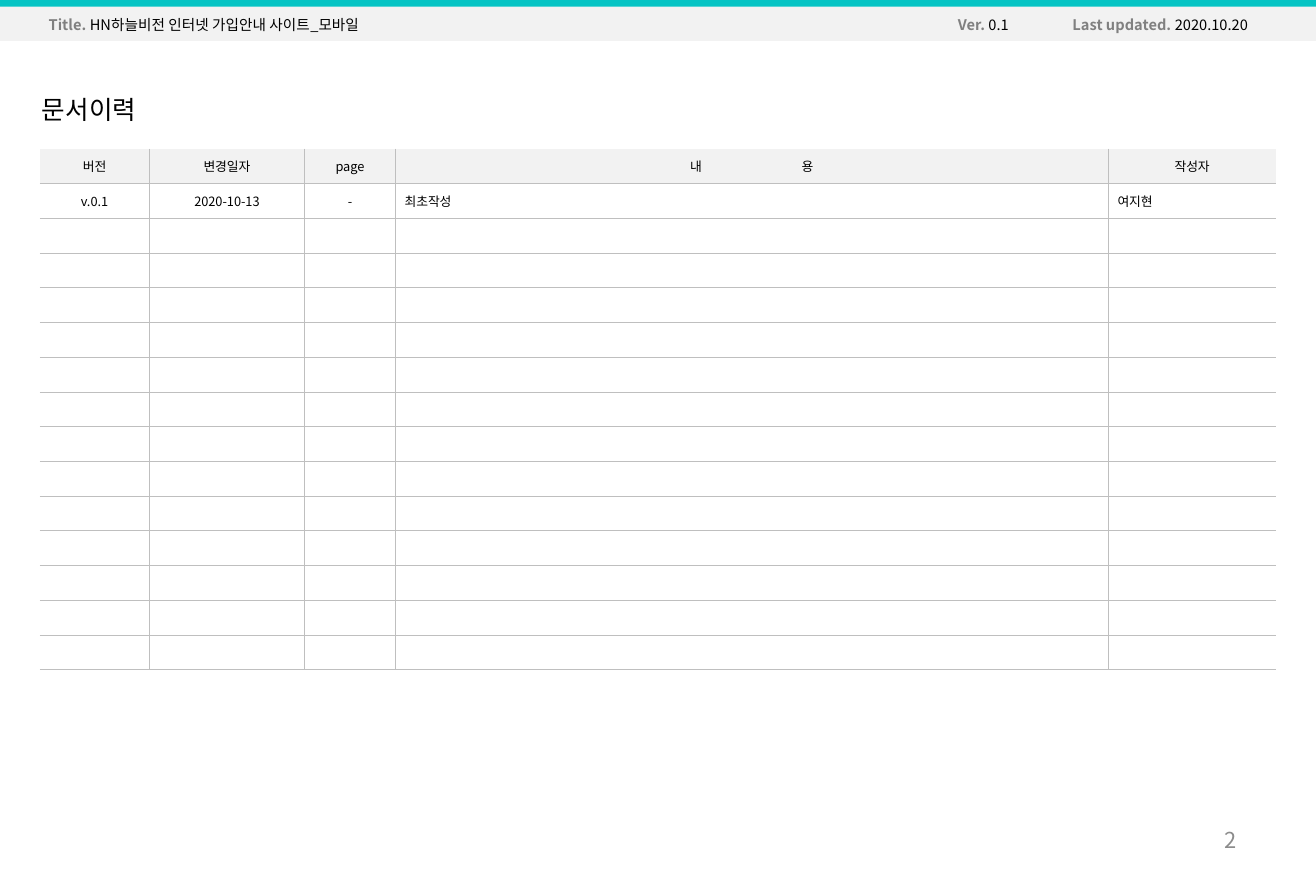
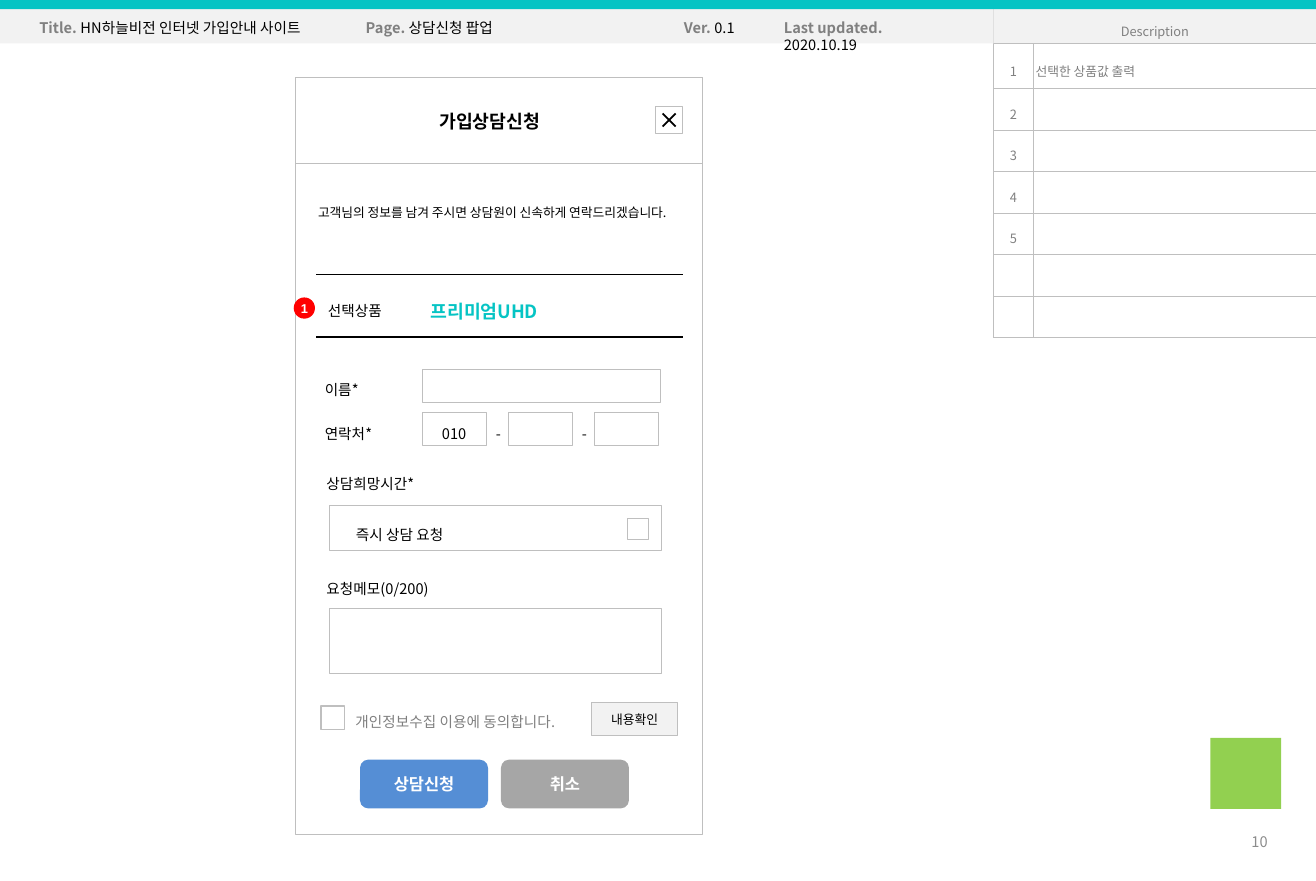
"""Build the revision history and the consultation popup storyboard slides."""
from lxml.etree import SubElement
from pptx import Presentation
from pptx.dml.color import RGBColor
from pptx.enum.shapes import MSO_CONNECTOR as Connector, MSO_SHAPE as Shape
from pptx.enum.text import MSO_ANCHOR as Anchor, PP_ALIGN as Align
from pptx.oxml.ns import qn
from pptx.util import Cm, Pt

color = RGBColor.from_string
FONT = "Noto Sans CJK KR"
TEAL, PALE, BORDER = "05C4C4", "F2F2F2", "BFBFBF"
LABEL, NUMBER, BLACK, WHITE = "808080", "8C8C8C", "000000", "FFFFFF"
PAGE_WIDTH, PAGE_HEIGHT = 25.4, 17


def write(frame, spans, size, align=Align.LEFT, spacing=1, font=FONT):
    frame.word_wrap = True
    para = frame.paragraphs[0]
    para.alignment = align
    para.line_spacing = spacing
    for text, ink, bold in spans:
        span = para.add_run()
        span.text = text
        span.font.size = Pt(size)
        span.font.bold = bold
        span.font.name = font
        span.font.color.rgb = color(ink)
        SubElement(span.font._element, qn("a:ea"), typeface=font)
    para._p.get_or_add_endParaRPr().set("sz", str(size * 100))


def draw(slide, place, fill, line=None, weight=0.5, kind=Shape.RECTANGLE):
    box = slide.shapes.add_shape(kind, *map(Cm, place))
    box.shadow.inherit = False
    box.fill.solid()
    box.fill.fore_color.rgb = color(fill)
    if line:
        box.line.color.rgb = color(line)
        box.line.width = Pt(weight)
    else:
        box.line.fill.background()
    frame = box.text_frame
    frame.margin_left = frame.margin_right = frame.margin_top = frame.margin_bottom = 0
    frame.vertical_anchor = Anchor.MIDDLE
    return box


deck = Presentation()
deck.slide_width, deck.slide_height = Cm(PAGE_WIDTH), Cm(PAGE_HEIGHT)

pages = [
    {
        "origin": (0.77, 2.87),
        "columns": [2.11, 3, 1.75, 13.76, 3.24],
        "heights": [0.67] * 15,
        "rows": [["버전", "변경일자", "page", "", "작성자"],
                 ["v.0.1", "2020-10-13", "-", "최초작성", "여지현"]] + [[""] * 5] * 13,
        "centered": 3, "ink": BLACK, "spacing": 1, "weight": 0.25,
        "open": True, "margins": (0.18, 0.1),
        "bands": [(0, 0, PAGE_WIDTH, 0.79), (0, 0, PAGE_WIDTH, 0.13)],
        "header_top": 0.19,
        "header": [("Title. ", "HN하늘비전 인터넷 가입안내 사이트_모바일", 0.69, 6.99),
                   ("Ver. ", "0.1", 18.24, 1.63),
                   ("Last updated. ", "2020.10.20", 20.45, 4.09)],
        "number": ("2", 12, (18.2, 15.75, 5.92, 0.91)),
    },
    {
        "origin": (19.18, 0.17),
        "columns": [0.76, 5.46],
        "heights": [0.67, 0.87] + [0.8] * 6,
        "rows": [["Description", ""], ["1", "선택한 상품값 출력"], ["2", ""], ["3", ""],
                 ["4", ""], ["5", ""], ["", ""], ["", ""]],
        "centered": 1, "ink": LABEL, "spacing": 1.5, "weight": 0.5,
        "open": False, "margins": (0.05, 0),
        "bands": [(0, 0.05, 19.18, 0.79), (0, 0, PAGE_WIDTH, 0.18)],
        "header_top": 0.24,
        "header": [("Title. ", "HN하늘비전 인터넷 가입안내 사이트", 0.51, 5.92),
                   ("Ver. ", "0.1", 12.95, 1.63),
                   ("Last updated. ", "2020.10.19", 14.88, 3.8),
                   ("Page. ", "상담신청 팝업", 6.81, 3.28)],
        "number": ("10", 8, (23.68, 15.77, 1.04, 0.94)),
    },
]

tables = []
for page in pages:
    slide = deck.slides.add_slide(deck.slide_layouts[6])
    columns, heights = page["columns"], page["heights"]
    place = (*page["origin"], sum(columns), sum(heights))
    table = slide.shapes.add_table(len(heights), len(columns), *map(Cm, place)).table
    table.first_row = table.horz_banding = False
    tables.append(table)
    for column, width in zip(table.columns, columns):
        column.width = Cm(width)
    for row, height in zip(table.rows, heights):
        row.height = Cm(height)
    for r, texts in enumerate(page["rows"]):
        for c, text in enumerate(texts):
            cell = table.cell(r, c)
            hidden = {"lnL": c == 0, "lnR": c == len(columns) - 1, "lnT": r == 0, "lnB": False}
            for side, outer in hidden.items():
                edge = SubElement(cell._tc.get_or_add_tcPr(), qn(f"a:{side}"),
                                  w=str(Pt(page["weight"])))
                if outer and page["open"]:
                    SubElement(edge, qn("a:noFill"))
                else:
                    SubElement(SubElement(edge, qn("a:solidFill")), qn("a:srgbClr"), val=BORDER)
            cell.fill.solid()
            cell.fill.fore_color.rgb = color(WHITE if r else PALE)
            cell.vertical_anchor = Anchor.MIDDLE
            side_margin, end_margin = page["margins"]
            cell.margin_left = cell.margin_right = Cm(side_margin)
            cell.margin_top = cell.margin_bottom = Cm(end_margin)
            align = Align.CENTER if r == 0 or c < page["centered"] else Align.LEFT
            spans = [(text, page["ink"], False)] if text else []
            write(cell.text_frame, spans, 7, align, page["spacing"])

    for band, fill in zip(page["bands"], (PALE, TEAL)):
        draw(slide, band, fill)
    for label, value, left, width in page["header"]:
        box = slide.shapes.add_textbox(*map(Cm, (left, page["header_top"], width, 0.61)))
        write(box.text_frame, [(label, LABEL, True), (value, BLACK, False)], 8)
    number, size, place = page["number"]
    box = slide.shapes.add_textbox(*map(Cm, place))
    box.text_frame.vertical_anchor = Anchor.MIDDLE
    write(box.text_frame, [(number, NUMBER, False)], size, Align.RIGHT)

history, popup = deck.slides
history_table, description_table = tables
description_table.cell(0, 0).merge(description_table.cell(0, 1))

content_frame = history_table.cell(0, 3).text_frame
write(content_frame, [(part, BLACK, False) for part in "내 용"], 7, Align.CENTER)
content_frame.paragraphs[0].runs[1].font._element.set("spc", "5300")
box = history.shapes.add_textbox(*map(Cm, (0.56, 1.69, 2.49, 0.86)))
write(box.text_frame, [("문서이력", BLACK, False)], 14, font="Arial")

POPUP_LEFT, POPUP_TOP, POPUP_WIDTH = 5.7, 1.5, 7.86
FIELD_LEFT, PHONE_TOP, PHONE_STEP = 8.15, 7.96, 1.66
outlines = [
    (POPUP_LEFT, POPUP_TOP, POPUP_WIDTH, 14.61),
    (POPUP_LEFT, POPUP_TOP, POPUP_WIDTH, 1.65),
    (FIELD_LEFT, 7.13, 4.6, 0.63),
    *[(FIELD_LEFT + i * PHONE_STEP, PHONE_TOP, 1.24, 0.64) for i in range(3)],
    (6.36, 9.76, 6.41, 0.86),
    (12.11, 10, 0.41, 0.41),
    (6.36, 11.74, 6.41, 1.26),
    (12.65, 2.06, 0.52, 0.52),
]
for outline in outlines:
    draw(popup, outline, WHITE, BORDER)
draw(popup, (6.19, 13.63, 0.46, 0.45), WHITE, BORDER, 1)
draw(popup, (23.36, 14.24, 1.37, 1.37), "92D050")

confirm = draw(popup, (11.42, 13.56, 1.66, 0.63), PALE, BORDER)
write(confirm.text_frame, [("내용확인", BLACK, False)], 7, Align.CENTER)
for text, left, fill in [("상담신청", 6.95, "558ED5"), ("취소", 9.67, "A6A6A6")]:
    button = draw(popup, (left, 14.66, 2.47, 0.94), fill, kind=Shape.ROUNDED_RECTANGLE)
    write(button.text_frame, [(text, WHITE, True)], 9, Align.CENTER)
marker = draw(popup, (5.67, 5.74, 0.41, 0.41), "FF0000", kind=Shape.OVAL)
write(marker.text_frame, [("1", WHITE, True)], 7, Align.CENTER, font="Arial")

strokes = [
    (6.1, 5.3, 13.18, 5.3, 0.75),
    (6.1, 6.5, 13.18, 6.5, 0.75),
    (12.79, 2.19, 13.04, 2.44, 1),
    (13.04, 2.19, 12.79, 2.44, 1),
]
for *ends, weight in strokes:
    stroke = popup.shapes.add_connector(Connector.STRAIGHT, *map(Cm, ends))
    stroke.line.color.rgb = color(BLACK)
    stroke.line.width = Pt(weight)
    SubElement(stroke._element.spPr, qn("a:effectLst"))

captions = [
    ("가입상담신청", (8.23, 2.01, 2.8, 0.69), 10, BLACK, True, 1),
    ("고객님의 정보를 남겨 주시면 상담원이 신속하게 연락드리겠습니다.",
     (5.89, 3.68, 7.6, 1.09), 7, BLACK, False, 1.5),
    ("선택상품", (6.08, 5.54, 2.13, 0.71), 8, BLACK, False, 1.5),
    ("프리미엄UHD", (8.06, 5.46, 3.43, 0.81), 10, TEAL, True, 1.5),
    ("이름*", (6.02, 7.06, 2.13, 0.71), 8, BLACK, False, 1.5),
    ("연락처*", (6.02, 7.91, 2.08, 0.71), 8, BLACK, False, 1.5),
    ("010", (8.28, 7.91, 1.27, 0.71), 8, BLACK, False, 1.5),
    *[("-", (9.32 + i * PHONE_STEP, 7.91, 0.6, 0.76), 8, BLACK, False, 1.5) for i in range(2)],
    ("상담희망시간*", (6.05, 8.88, 2.57, 0.71), 8, BLACK, False, 1.5),
    ("즉시 상담 요청", (6.62, 9.86, 2.57, 0.71), 8, BLACK, False, 1.5),
    ("요청메모(0/200)", (6.05, 10.89, 2.95, 0.76), 8, BLACK, False, 1.5),
    ("개인정보수집 이용에 동의합니다.", (6.61, 13.47, 4.93, 0.76), 8, LABEL, False, 1.5),
]
for text, place, size, ink, bold, spacing in captions:
    box = popup.shapes.add_textbox(*map(Cm, place))
    write(box.text_frame, [(text, ink, bold)], size, spacing=spacing)

deck.save("out.pptx")
